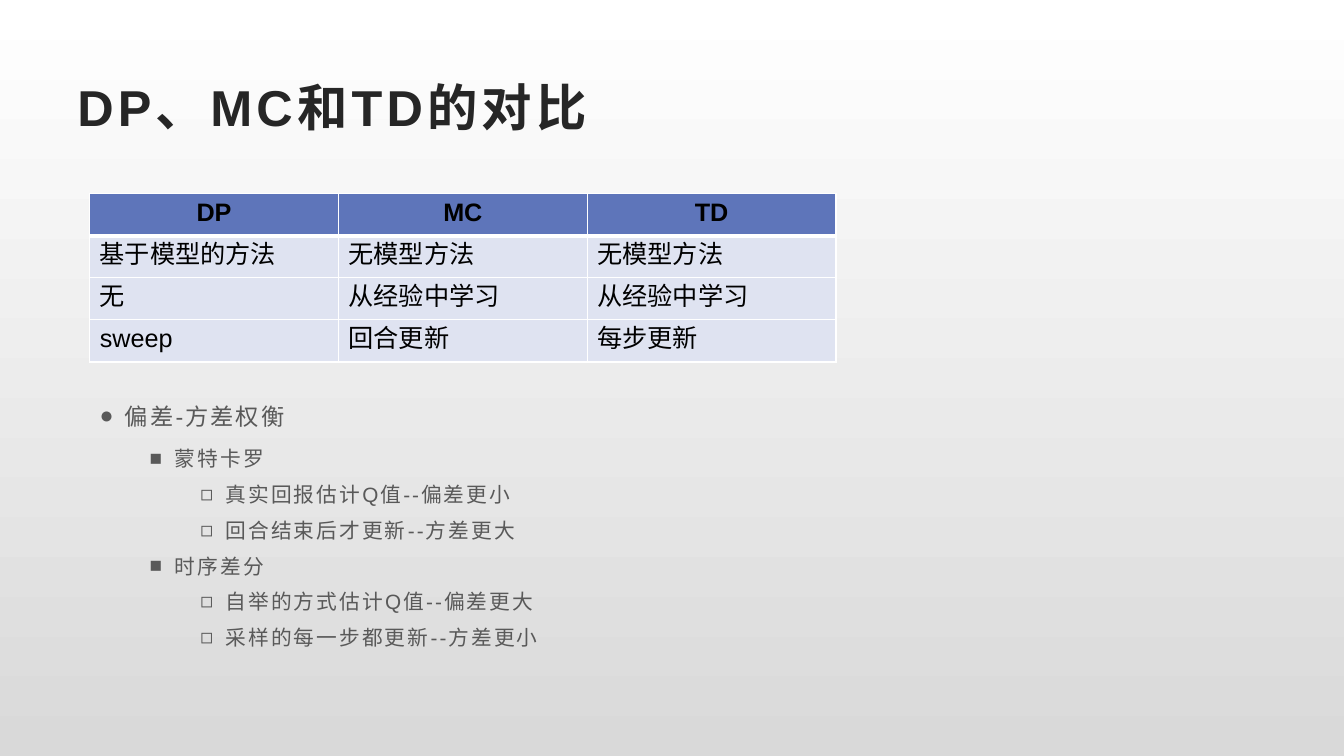
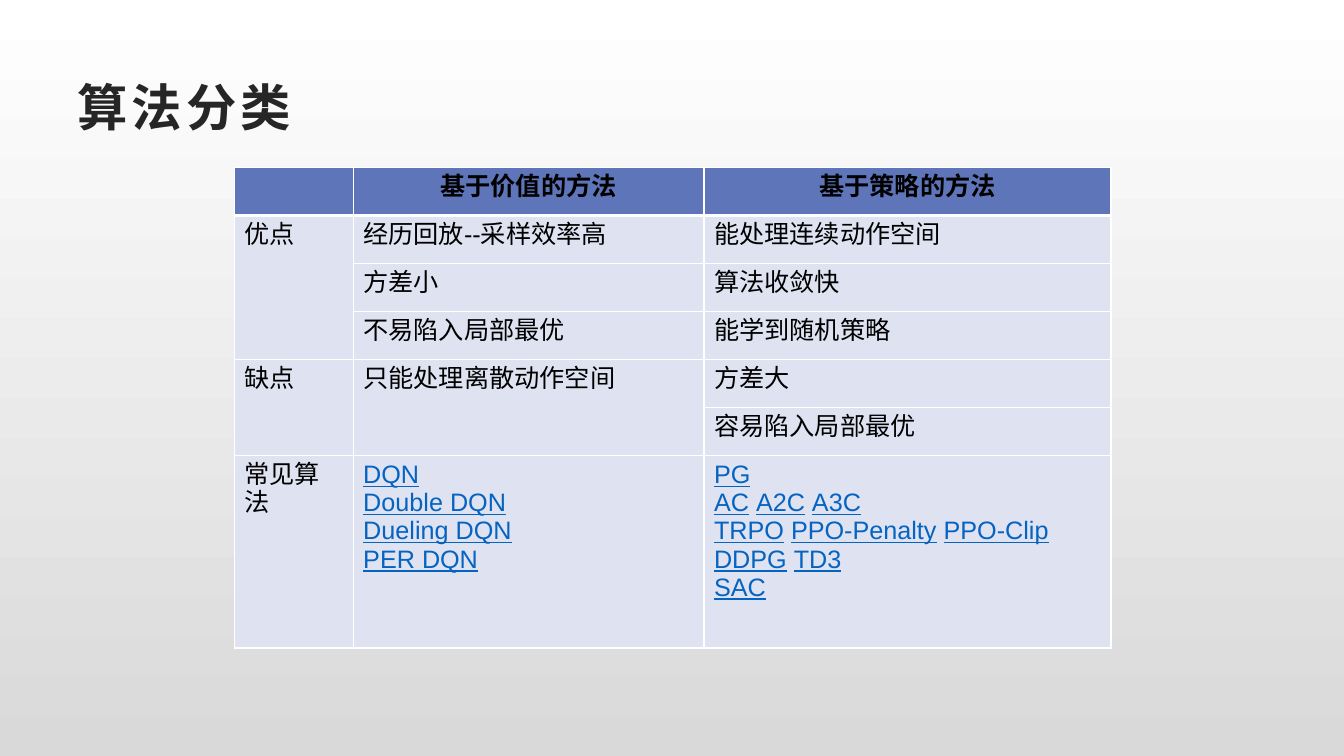
"""Build two slides comparing reinforcement learning methods."""
from lxml.etree import SubElement as Sub
from pptx import Presentation
from pptx.dml.color import RGBColor as RGB
from pptx.enum.lang import MSO_LANGUAGE_ID as LANG
from pptx.enum.text import MSO_ANCHOR as ANCHOR, PP_ALIGN as ALIGN
from pptx.oxml.ns import qn
from pptx.util import Cm, Pt

FONT = "Arial"
COLORS = {
    "bg_top": "FFFFFF", "bg_bottom": "D9D9D9",
    "title": "262626", "body": "595959", "cell": "000000", "link": "0563C1",
    "header_fill": "5E75BA", "body_fill": "DFE3F1", "border": "FFFFFF",
}
LEVELS = [
    {"bullet": "●", "size": 16.6, "line": 1.2, "after": 10, "left": 0.64},
    {"bullet": "■", "size": 14.8, "line": 1.1, "after": 6, "left": 1.9},
    {"bullet": "◻", "size": 14.8, "line": 1.1, "after": 6, "left": 3.18},
]
HANGING = 0.64

COMPARISON = [
    ["DP", "MC", "TD"],
    ["基于模型的方法", "无模型方法", "无模型方法"],
    ["无", "从经验中学习", "从经验中学习"],
    ["sweep", "回合更新", "每步更新"],
]
TRADE_OFF = [
    (0, "偏差-方差权衡"),
    (1, "蒙特卡罗"),
    (2, "真实回报估计Q值--偏差更小"),
    (2, "回合结束后才更新--方差更大"),
    (1, "时序差分"),
    (2, "自举的方式估计Q值--偏差更大"),
    (2, "采样的每一步都更新--方差更小"),
]
VALUE_ALGORITHMS = [["DQN"], ["Double DQN"], ["Dueling DQN"], ["PER DQN"]]
POLICY_ALGORITHMS = [
    ["PG"], ["AC", "A2C", "A3C"], ["TRPO", "PPO-Penalty", "PPO-Clip"],
    ["DDPG", "TD3"], ["SAC"],
]
CLASSIFICATION = [
    ["", "基于价值的方法", "基于策略的方法"],
    ["优点", "经历回放--采样效率高", "能处理连续动作空间"],
    [None, "方差小", "算法收敛快"],
    [None, "不易陷入局部最优", "能学到随机策略"],
    ["缺点", "只能处理离散动作空间", "方差大"],
    [None, None, "容易陷入局部最优"],
    ["常见算法", VALUE_ALGORITHMS, POLICY_ALGORITHMS],
]


def rgb(name):
    return RGB.from_string(COLORS[name])


def style_run(r, size, color, bold=False, underline=False, spacing=0):
    f = r.font
    f.size, f.bold, f.underline = Pt(size), bold, underline
    f.color.rgb = rgb(color)
    f.name = FONT
    f.language_id = LANG.SIMPLIFIED_CHINESE
    rPr = r._r.get_or_add_rPr()
    Sub(rPr, qn("a:ea"), typeface=FONT)
    if spacing:
        rPr.set("spc", str(round(spacing * 100)))


def set_background(master):
    fill = master.background.fill
    fill.gradient()
    fill.gradient_angle = 270
    for stop, name in zip(fill.gradient_stops, ("bg_top", "bg_bottom")):
        stop.color.rgb = rgb(name)


def add_text_frame(s, left, top, width, height):
    tf = s.shapes.add_textbox(Cm(left), Cm(top), Cm(width), Cm(height)).text_frame
    tf.word_wrap = True
    return tf


def add_titled_slide(prs, title):
    s = prs.slides.add_slide(prs.slide_layouts[6])
    tf = add_text_frame(s, 1.7, 1.7, 30.48, 1.96)
    tf.vertical_anchor = ANCHOR.MIDDLE
    tf.text = title
    style_run(tf.paragraphs[0].runs[0], 36, "title", bold=True, spacing=3)
    return s


def add_bullets(s, left, top, width, height, items):
    tf = add_text_frame(s, left, top, width, height)
    tf.text = "\n".join(text for _, text in items)
    for p, (level, _) in zip(tf.paragraphs, items):
        look = LEVELS[level]
        p.level = level
        p.line_spacing, p.space_after = look["line"], Pt(look["after"])
        pPr = p._p.get_or_add_pPr()
        pPr.set("marL", str(Cm(look["left"])))
        pPr.set("indent", str(-Cm(HANGING)))
        Sub(pPr, qn("a:buFont"), typeface=FONT)
        Sub(pPr, qn("a:buChar"), char=look["bullet"])
        style_run(p.runs[0], look["size"], "body", spacing=1.5)


def set_borders(cell, **widths):
    tcPr = cell._tc.get_or_add_tcPr()
    for side in "LRTB":
        ln = Sub(tcPr, qn(f"a:ln{side}"), w=str(Pt(widths.get(side, 1))))
        Sub(Sub(ln, qn("a:solidFill")), qn("a:srgbClr"), val=COLORS["border"])


def fill_links(tf, lines):
    for i, names in enumerate(lines):
        p = tf.add_paragraph() if i else tf.paragraphs[0]
        for j, name in enumerate(names):
            if j:
                r = p.add_run()
                r.text = " "
                style_run(r, 18, "cell")
            r = p.add_run()
            r.text = name
            style_run(r, 18, "link", underline=True)


def fill_label(tf, text, header):
    tf.text = text
    p = tf.paragraphs[0]
    if header:
        p.alignment = ALIGN.CENTER
    for r in p.runs:
        style_run(r, 18, "cell", bold=header)


def merge_down(table, rows):
    for col, column in enumerate(zip(*rows)):
        start = 0
        for row, content in enumerate(column):
            if content is not None:
                start = row
            elif row + 1 == len(column) or column[row + 1] is not None:
                table.cell(start, col).merge(table.cell(row, col))


def add_grid(s, left, top, widths, heights, rows):
    table = s.shapes.add_table(
        len(rows), len(widths), Cm(left), Cm(top),
        Cm(sum(widths)), Cm(sum(heights))).table
    table.horz_banding = False
    for column, width in zip(table.columns, widths):
        column.width = Cm(width)
    for i, (row, height) in enumerate(zip(rows, heights)):
        table.rows[i].height = Cm(height)
        header = i == 0
        for j, content in enumerate(row):
            cell = table.cell(i, j)
            set_borders(cell, T=3 if i == 1 else 1, B=3 if header else 1)
            cell.fill.solid()
            cell.fill.fore_color.rgb = rgb("header_fill" if header else "body_fill")
            if isinstance(content, list):
                fill_links(cell.text_frame, content)
            elif content:
                fill_label(cell.text_frame, content, header)
    merge_down(table, rows)


def main():
    prs = Presentation()
    prs.slide_width, prs.slide_height = Cm(33.87), Cm(19.05)
    set_background(prs.slide_master)

    s = add_titled_slide(prs, "DP、MC和TD的对比")
    add_bullets(s, 2.26, 9.86, 13, 6.91, TRADE_OFF)
    add_grid(s, 2.26, 4.88, [6.27] * 3, [1.06] * 4, COMPARISON)

    s = add_titled_slide(prs, "算法分类")
    add_grid(s, 5.9, 4.22, [3, 8.84, 10.26], [1.21] * 6 + [4.85], CLASSIFICATION)

    prs.save("out.pptx")


if __name__ == "__main__":
    main()
